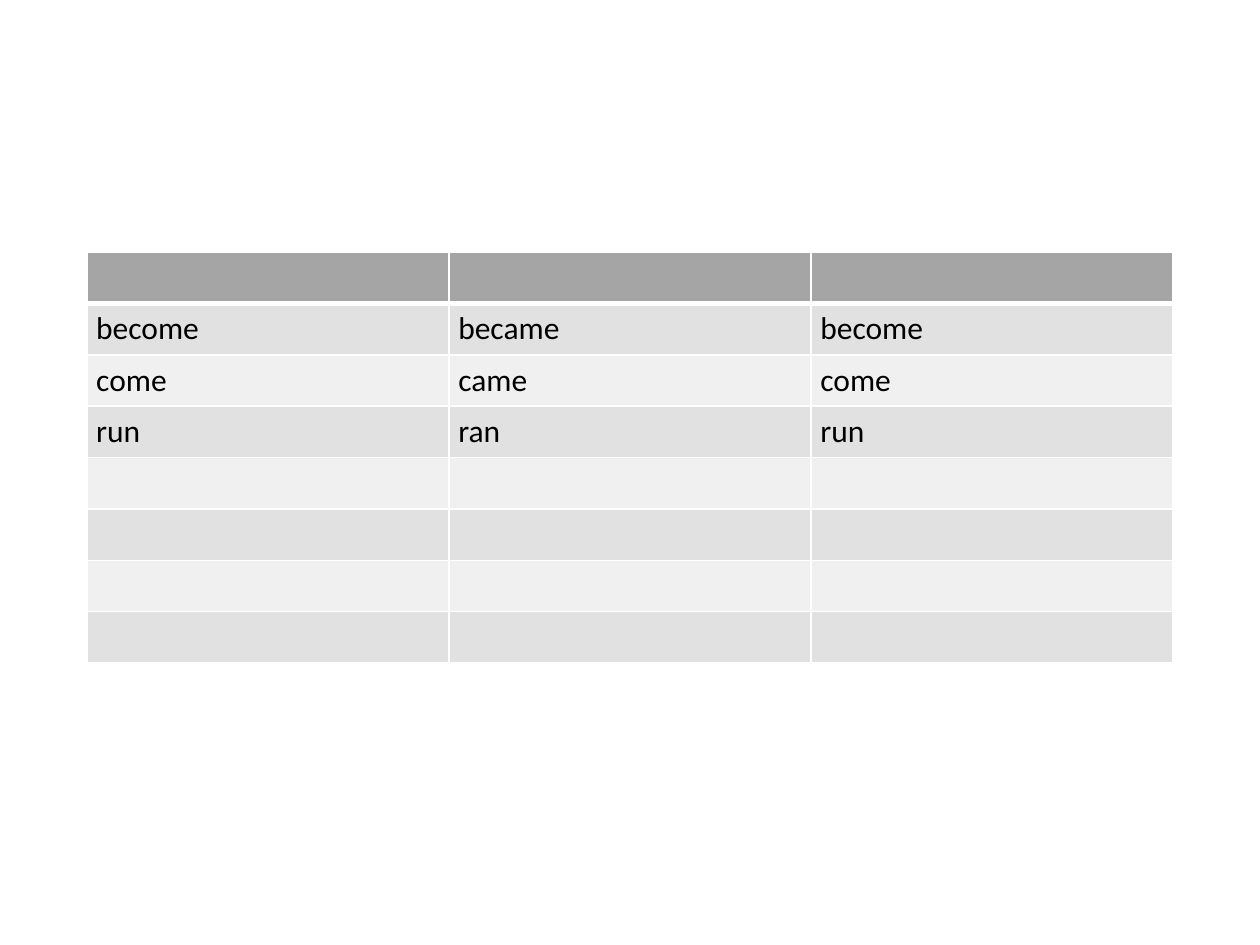
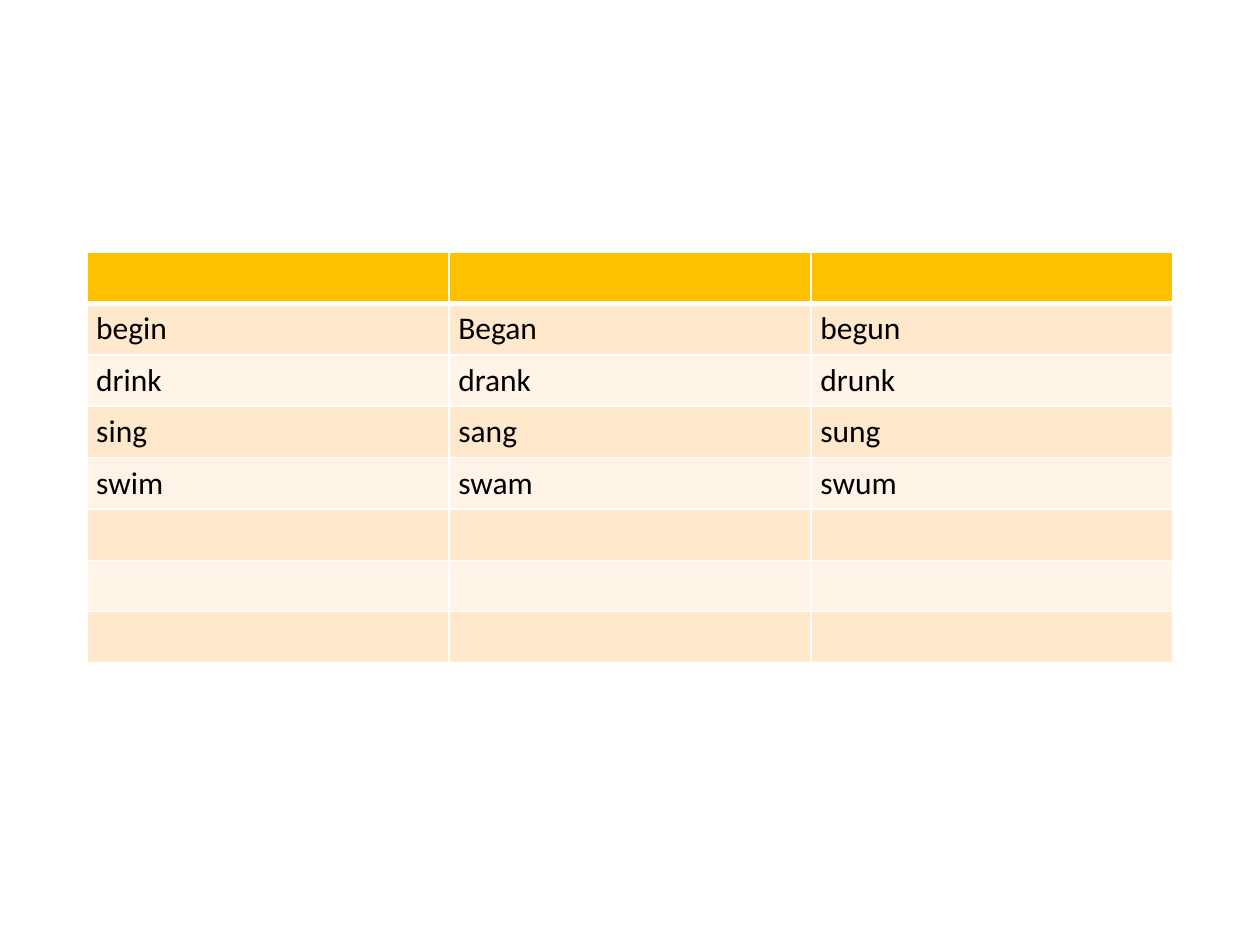
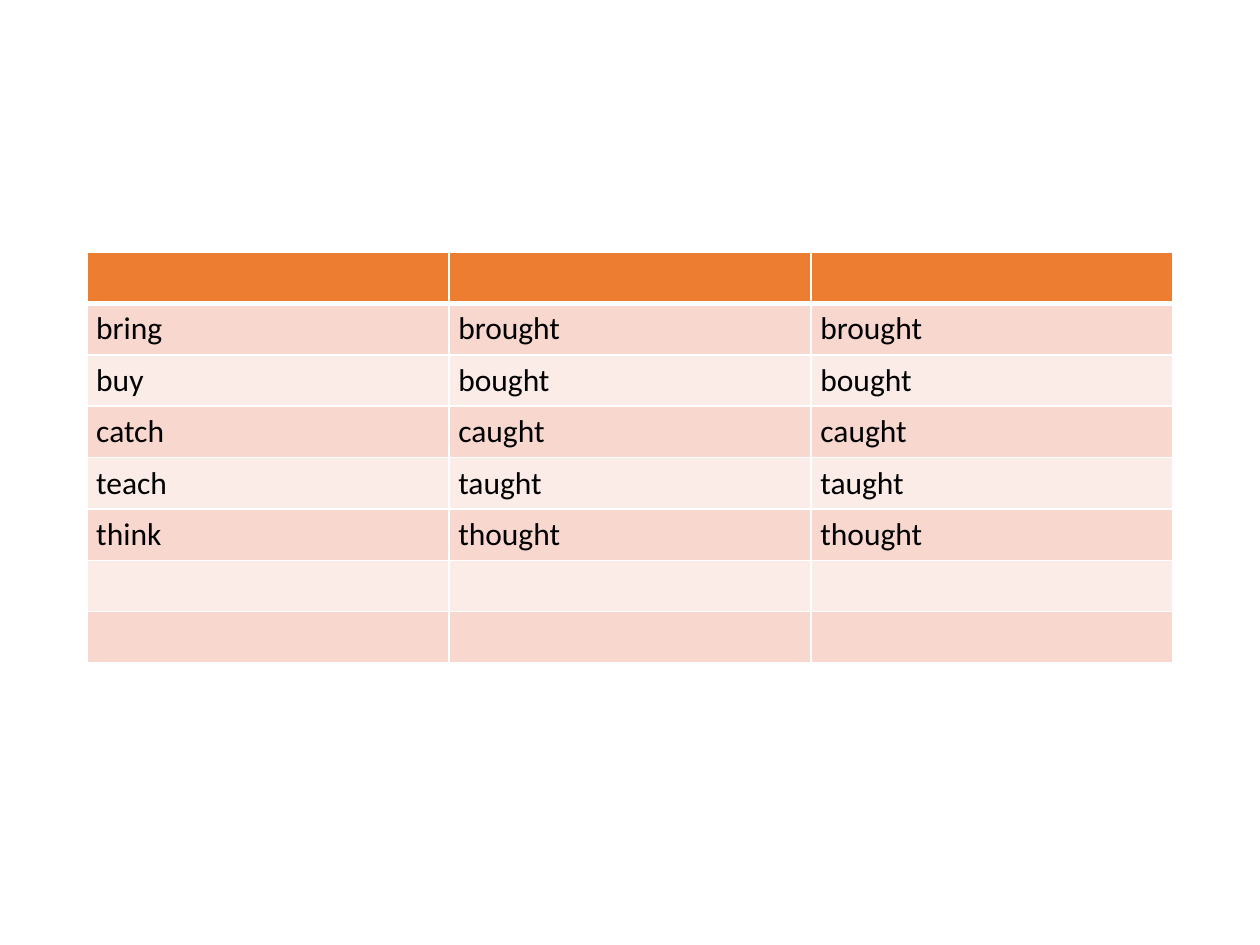
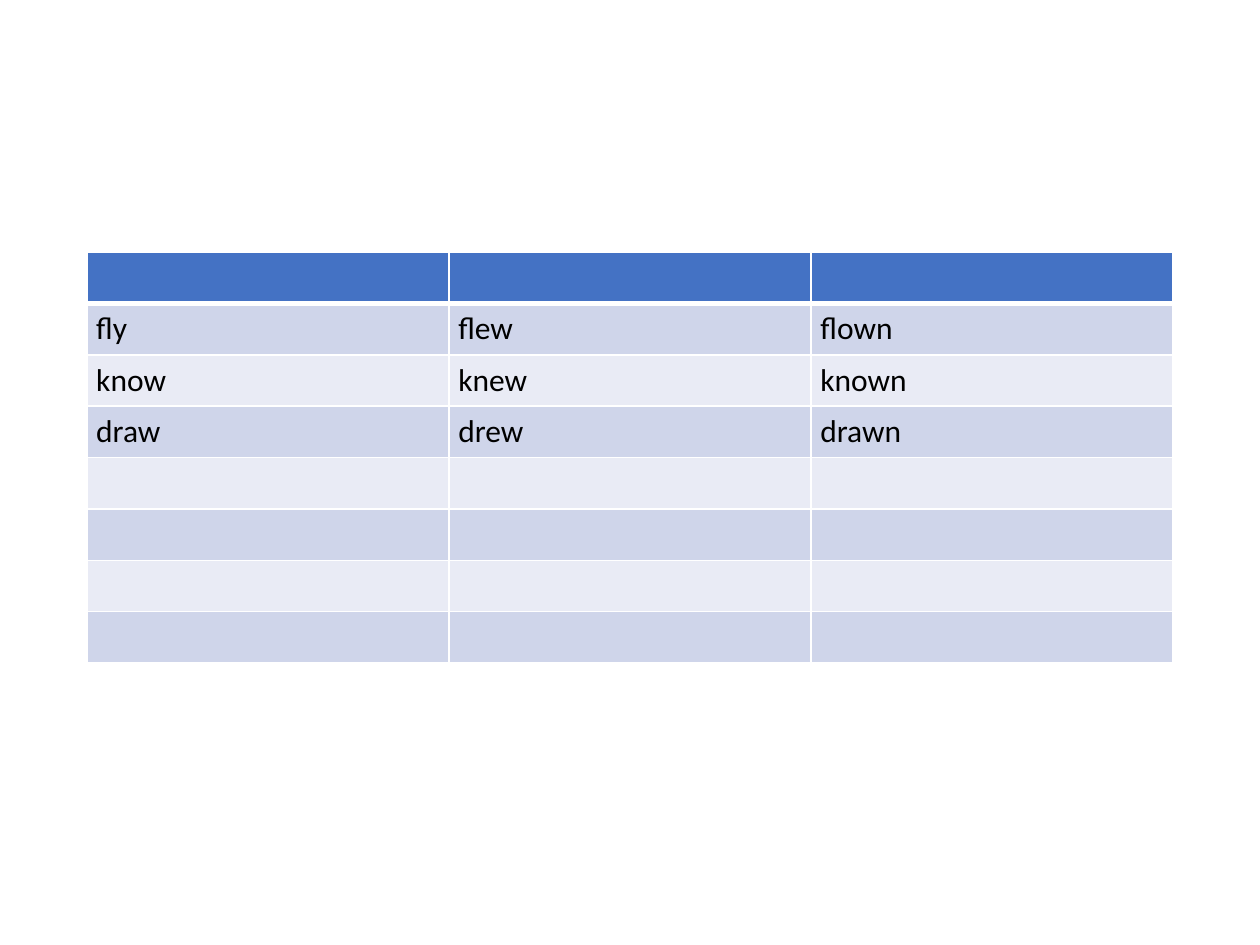
from lxml import etree
from pptx import Presentation
from pptx.dml.color import RGBColor
from pptx.oxml.ns import qn
from pptx.util import Cm, Pt

COLORS = {
    "border": "FFFFFF",
    "text": "000000",
    "gray": ("A5A5A5", "E1E1E1", "F0F0F0"),
    "gold": ("FFC000", "FFE8CC", "FFF4E7"),
    "orange": ("ED7D31", "F8D7CE", "FCECE8"),
    "blue": ("4472C4", "CFD5EA", "E9EBF5"),
}
FONT_NAME = "Calibri"
FONT_SIZE = Pt(18)
BLANK_LAYOUT = 6
ROW_COUNT = 8
COLUMN_COUNT = 3
TABLE_BOX = (Cm(1.75), Cm(5.08), Cm(21.9), Cm(8.23))
THIN_LINE = Pt(1)
HEADER_LINE = Pt(3)

VERB_GROUPS = [
    ("gray", [
        ("become", "became", "become"),
        ("come", "came", "come"),
        ("run", "ran", "run"),
    ]),
    ("gold", [
        ("begin", "Began", "begun"),
        ("drink", "drank", "drunk"),
        ("sing", "sang", "sung"),
        ("swim", "swam", "swum"),
    ]),
    ("orange", [
        ("bring", "brought", "brought"),
        ("buy", "bought", "bought"),
        ("catch", "caught", "caught"),
        ("teach", "taught", "taught"),
        ("think", "thought", "thought"),
    ]),
    ("blue", [
        ("fly", "flew", "flown"),
        ("know", "knew", "known"),
        ("draw", "drew", "drawn"),
    ]),
]


def add_cell_borders(cell, bottom_width):
    properties = cell._tc.get_or_add_tcPr()
    for side in ("L", "R", "T", "B"):
        width = bottom_width if side == "B" else THIN_LINE
        line = etree.SubElement(properties, qn(f"a:ln{side}"), w=str(width))
        fill = etree.SubElement(line, qn("a:solidFill"))
        etree.SubElement(fill, qn("a:srgbClr"), val=COLORS["border"])


def format_cell(cell, fill_color, bottom_width):
    add_cell_borders(cell, bottom_width)
    cell.fill.solid()
    cell.fill.fore_color.rgb = RGBColor.from_string(fill_color)
    cell.margin_left = cell.margin_right = Cm(0.19)
    cell.margin_top = cell.margin_bottom = Cm(0.13)
    cell.text_frame.paragraphs[0].font.size = FONT_SIZE


def write_cell(cell, text):
    run = cell.text_frame.paragraphs[0].add_run()
    run.text = text
    run.font.name = FONT_NAME
    run.font.size = FONT_SIZE
    run.font.color.rgb = RGBColor.from_string(COLORS["text"])


def add_verb_table(slide, box, palette, verbs):
    left, top, width, height = box
    table = slide.shapes.add_table(
        ROW_COUNT, COLUMN_COUNT, left, top, width, height).table
    header_color, *band_colors = palette
    for row_index, row in enumerate(table.rows):
        row.height = height // ROW_COUNT
        is_header = row_index == 0
        fill_color = header_color if is_header else band_colors[(row_index - 1) % 2]
        for cell in row.cells:
            format_cell(cell, fill_color, HEADER_LINE if is_header else THIN_LINE)
    for row_index, forms in enumerate(verbs, start=1):
        for column_index, form in enumerate(forms):
            write_cell(table.cell(row_index, column_index), form)


def main():
    presentation = Presentation()
    presentation.slide_width = Cm(25.4)
    presentation.slide_height = Cm(19.05)
    for palette_name, verbs in VERB_GROUPS:
        slide = presentation.slides.add_slide(
            presentation.slide_layouts[BLANK_LAYOUT])
        add_verb_table(slide, TABLE_BOX, COLORS[palette_name], verbs)
    presentation.save("out.pptx")


if __name__ == "__main__":
    main()
